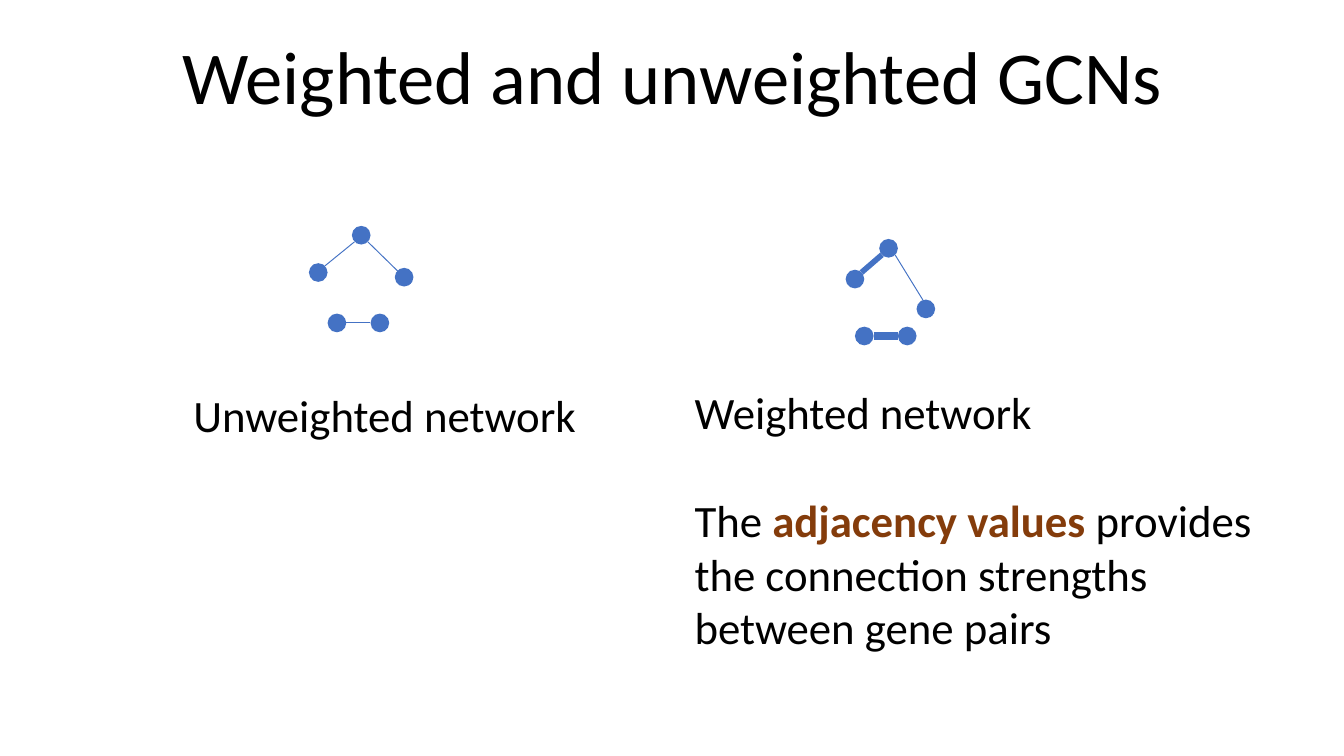
"""Builds a slide comparing weighted and unweighted gene co-expression networks."""
from pptx import Presentation
from pptx.dml.color import RGBColor
from pptx.enum.shapes import MSO_CONNECTOR as Connector, MSO_SHAPE as Shape
from pptx.enum.text import MSO_ANCHOR as Anchor, MSO_AUTO_SIZE as AutoSize, PP_ALIGN as Align
from pptx.oxml.ns import qn
from pptx.util import Pt
from lxml.etree import SubElement

BLACK = RGBColor(0x00, 0x00, 0x00)
BLUE = RGBColor(0x44, 0x72, 0xC4)
BROWN = RGBColor(0x84, 0x3C, 0x0B)
NODE = 10
SITES = {"right": (10, 5), "left": (0, 5), "upper right": (8.5, 1.5),
         "lower left": (1.5, 8.5), "lower right": (8.5, 8.5)}
EDGES = [("apex", "lower right", "end", "lower right"),
         ("apex", "lower left", "start", "upper right"),
         ("pair one", "right", "pair two", "left")]


def apply(target, values):
    for name, value in values.items():
        setattr(target, name, value)


class NetworkSlide:
    def __init__(self, deck):
        self.slide = deck.slides.add_slide(deck.slide_layouts[5])
        self.font = {"name": "Calibri", "size": Pt(24), "bold": False}

    def add_runs(self, paragraph, pieces, **style):
        for words, color, bold in pieces:
            run = paragraph.add_run()
            run.text = words
            apply(run.font, {**self.font, "bold": bold, **style})
            run.font.color.rgb = color

    def title(self, words, left, top, width, height):
        heading = self.slide.shapes.title
        apply(heading, {"left": Pt(left), "top": Pt(top), "width": Pt(width), "height": Pt(height)})
        apply(heading.text_frame, {"auto_size": AutoSize.NONE, "word_wrap": True,
                                   "vertical_anchor": Anchor.MIDDLE})
        line = heading.text_frame.paragraphs[0]
        apply(line, {"alignment": Align.CENTER, "line_spacing": 0.9})
        self.add_runs(line, [(words, BLACK, False)], size=Pt(40))

    def caption(self, paragraphs, left, top, width, height, gap=0):
        frame = self.slide.shapes.add_textbox(Pt(left), Pt(top), Pt(width), Pt(height)).text_frame
        apply(frame, {"word_wrap": True, "auto_size": AutoSize.SHAPE_TO_FIT_TEXT})
        for index, pieces in enumerate(paragraphs):
            paragraph = frame.add_paragraph() if index else frame.paragraphs[0]
            if index:
                paragraph.space_before = Pt(gap)
            self.add_runs(paragraph, pieces)

    def node(self, left, top):
        gene = self.slide.shapes.add_shape(Shape.OVAL, Pt(left), Pt(top), Pt(NODE), Pt(NODE))
        gene.shadow.inherit = False
        gene.fill.solid()
        gene.fill.fore_color.rgb = BLUE
        gene.line.fill.background()

    def edge(self, begin, end, weight):
        link = self.slide.shapes.add_connector(Connector.STRAIGHT, *map(Pt, begin + end))
        link.line.color.rgb = BLUE
        link.line.width = Pt(weight)
        SubElement(link._element.spPr, qn("a:effectLst"))

    def network(self, genes, weights):
        for position in genes.values():
            self.node(*position)
        for (source, exit_site, target, entry_site), weight in zip(EDGES, weights):
            begin, end = (tuple(a + b for a, b in zip(genes[gene], SITES[site]))
                          for gene, site in ((source, exit_site), (target, entry_site)))
            self.edge(begin, end, weight)


def main():
    deck = Presentation()
    apply(deck, {"slide_width": Pt(720), "slide_height": Pt(405)})
    page = NetworkSlide(deck)
    page.title("Weighted and unweighted GCNs", 54, 13, 612, 60.5)
    page.caption([[("Unweighted network", BLACK, False)]], 96.5, 204, 224, 36)
    page.caption([[("Weighted network", BLACK, False)],
                  [("The ", BLACK, False), ("adjacency values ", BROWN, True),
                   ("provides the connection strengths between gene pairs", BLACK, False)]],
                 365, 202.5, 322.5, 152.5, gap=29)
    page.network({"start": (165.5, 141), "apex": (188.5, 121), "end": (211.5, 143.5),
                  "pair one": (175.5, 168), "pair two": (198.5, 168)}, (0.5, 0.5, 0.5))
    page.network({"start": (453, 144.5), "apex": (471, 128), "end": (491, 160.5),
                  "pair one": (458, 175), "pair two": (481, 175)}, (0.5, 3, 4.5))
    deck.save("out.pptx")


if __name__ == "__main__":
    main()
